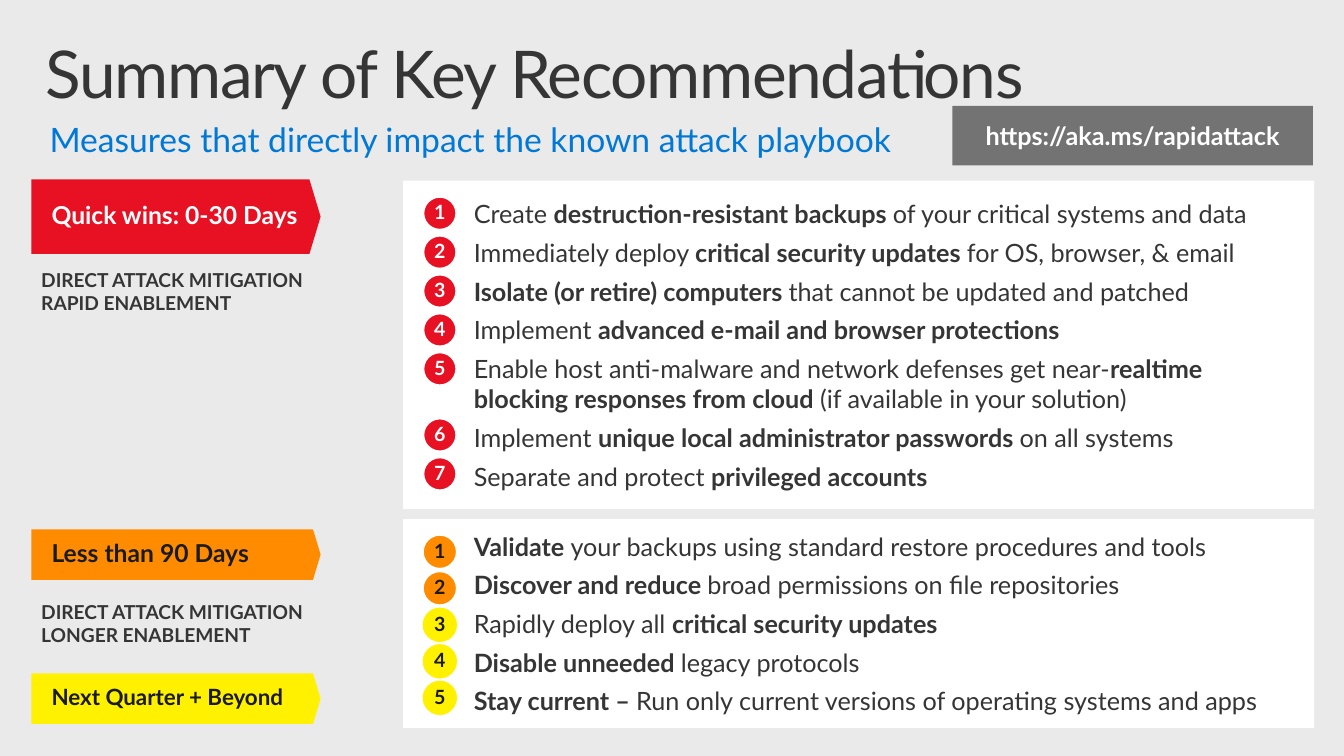
"""Build the slide that sums up the key recommendations."""
from pptx import Presentation
from pptx.dml.color import RGBColor
from pptx.enum.shapes import MSO_SHAPE
from pptx.enum.text import MSO_ANCHOR, MSO_AUTO_SIZE, PP_ALIGN
from pptx.oxml.ns import qn
from pptx.util import Cm, Pt
from lxml.etree import SubElement

FONT = "Lato"
DARK, INK, WHITE, BLUE = "353535", "1A1A1A", "FFFFFF", "0078D7"
RED, AMBER, GOLD, GREY, PALE = "E81123", "FF8C00", "FFF100", "737373", "EAEAEA"

TITLE = "Summary of Key Recommendations"
LEAD = "Measures that directly impact the known attack playbook"
LINK = "https://aka.ms/rapidattack"

# Asterisks enclose the bold words of each line.
QUICK = [
    "Create *destruction-resistant backups *of your critical systems and data",
    "Immediately deploy *critical security updates *for OS, browser, & email",
    "*Isolate (or retire) computers *that cannot be updated and patched",
    "Implement *advanced e-mail and browser protections*",
    "Enable host anti-malware and network defenses get near-"
    "*realtime blocking responses from cloud *(if available in your solution)",
    "Implement *unique local administrator passwords *on all systems",
    "Separate and protect *privileged accounts*",
]
LATER = [
    "*Validate *your backups using standard restore procedures and tools",
    "*Discover and reduce *broad permissions on file repositories",
    "Rapidly deploy all *critical security updates*",
    "*Disable unneeded *legacy protocols",
    "*Stay current – *Run only current versions of operating systems and apps",
]

# Panel: lines, top, height, first dot, dot step, row of each dot, dot styles.
RED_DOT, AMBER_DOT, GOLD_DOT = (RED, WHITE, 3), (AMBER, INK, 2.25), (GOLD, INK, 0.5)
PANELS = [
    (QUICK, 4.55, 8.28, 4.93, 0.98, [0, 1, 2, 3, 4, 5.7, 6.7], [RED_DOT] * 7),
    (LATER, 13.08, 5.26, 13.46, 0.92, range(5), [AMBER_DOT] * 2 + [GOLD_DOT] * 3),
]
TAGS = [
    ("Quick wins: 0-30 Days", 4.52, 1.88, RED, WHITE, 17.6),
    ("Less than 90 Days", 13.34, 1.27, AMBER, INK, 17.6),
    ("Next Quarter + Beyond", 16.97, 1.27, GOLD, INK, 16),
]
NOTES = [
    (["DIRECT ATTACK MITIGATION", "RAPID ENABLEMENT"], 6.5),
    (["DIRECT ATTACK MITIGATION", "LONGER ENABLEMENT"], 14.88),
]
LEFT, TAG_W, DOT_X, DOT = 0.79, 7.29, 10.64, 0.89


def color(code):
    return RGBColor.from_string(code)


def place(shape, *box):
    shape.left, shape.top, shape.width, shape.height = [Cm(n) for n in box]


def frame(shape, pads, anchor=MSO_ANCHOR.MIDDLE, wrap=True):
    text = shape.text_frame
    text.auto_size = MSO_AUTO_SIZE.NONE
    text.word_wrap = wrap
    text.vertical_anchor = anchor
    text.margin_left, text.margin_top, text.margin_right, text.margin_bottom = [
        Cm(n) for n in pads]
    return text


def write(par, words, size, code, bold=False, align=PP_ALIGN.LEFT, space=0.9):
    par.alignment = align
    par.line_spacing = space
    par.space_before = Pt(0)
    run = par.add_run()
    run.text = words
    font = run.font
    font.name, font.size, font.bold = FONT, Pt(size), bold
    font.color.rgb = color(code)
    return run


def line_at(text, row):
    return text.add_paragraph() if row else text.paragraphs[0]


def block(slide, kind, box, fill, edge=0):
    shape = slide.shapes.add_shape(kind, *[Cm(n) for n in box])
    shape.shadow.inherit = False
    shape.fill.solid()
    shape.fill.fore_color.rgb = color(fill)
    if edge:
        shape.line.color.rgb = color(WHITE)
        shape.line.width = Pt(edge)
    else:
        shape.line.fill.background()
    return shape


def label(slide, box, pads, wrap=True):
    shape = slide.shapes.add_textbox(*[Cm(n) for n in box])
    return frame(shape, pads, MSO_ANCHOR.TOP, wrap)


def add_list(shape, lines, top, height):
    place(shape, 10.16, top, 22.96, height)
    shape.fill.solid()
    shape.fill.fore_color.rgb = color(WHITE)
    text = frame(shape, (1.78, 0.38, 0.48, 0.38))
    for row, line in enumerate(lines):
        par = line_at(text, row)
        props = par._p.get_or_add_pPr()
        props.set("marL", "0")
        props.set("indent", "0")
        SubElement(props, qn("a:buNone"))
        par.space_after = Pt(6)
        for part, words in enumerate(line.split("*")):
            if words:
                write(par, words, 18, DARK, part % 2 == 1, space=1.0)


def add_dots(slide, first, step, rows, styles):
    for num, (row, (fill, ink, edge)) in enumerate(zip(rows, styles), 1):
        box = DOT_X, first + step * row, DOT, DOT
        dot = block(slide, MSO_SHAPE.OVAL, box, fill, edge)
        text = frame(dot, (0, 0, 0, 0))
        write(text.paragraphs[0], str(num), 14, ink, True, PP_ALIGN.CENTER)


def add_head(slide):
    title = slide.shapes.title
    place(title, 0.74, 0.81, 32.39, 2.49)
    text = frame(title, (0.41, 0.25, 0.41, 0.25), MSO_ANCHOR.TOP)
    run = write(text.paragraphs[0], TITLE, 47, DARK)
    run.font._element.set("spc", "-100")
    text = label(slide, (0.74, 2.69, 23.27, 1.75), (0.51, 0.41, 0.51, 0.41), False)
    write(text.paragraphs[0], LEAD, 24, BLUE)
    link = block(slide, MSO_SHAPE.RECTANGLE, (24, 2.67, 9.09, 1.5), GREY)
    text = frame(link, (0.25, 0.2, 0.25, 0.2))
    write(text.paragraphs[0], LINK, 18, WHITE, True, PP_ALIGN.CENTER, 1.0)


def add_side(slide):
    for words, top, height, fill, ink, size in TAGS:
        tag = block(slide, MSO_SHAPE.PENTAGON, (LEFT, top, TAG_W, height), fill)
        tag.adjustments[0] = 0.15
        text = frame(tag, (0.51, 0, 0, 0))
        write(text.paragraphs[0], words, size, ink, True)
    for lines, top in NOTES:
        text = label(slide, (LEFT, top, TAG_W, 1.68), (0.25,) * 4)
        for row, words in enumerate(lines):
            write(line_at(text, row), words, 13.7, DARK, True, space=1.0)


def main():
    deck = Presentation()
    deck.slide_width, deck.slide_height = Cm(33.87), Cm(19.05)
    slide = deck.slides.add_slide(deck.slide_layouts[3])
    slide.background.fill.solid()
    slide.background.fill.fore_color.rgb = color(PALE)
    add_head(slide)
    add_side(slide)
    for spot, (lines, top, height, *dots) in enumerate(PANELS, 1):
        add_list(slide.placeholders[spot], lines, top, height)
        add_dots(slide, *dots)
    deck.save("out.pptx")


if __name__ == "__main__":
    main()
